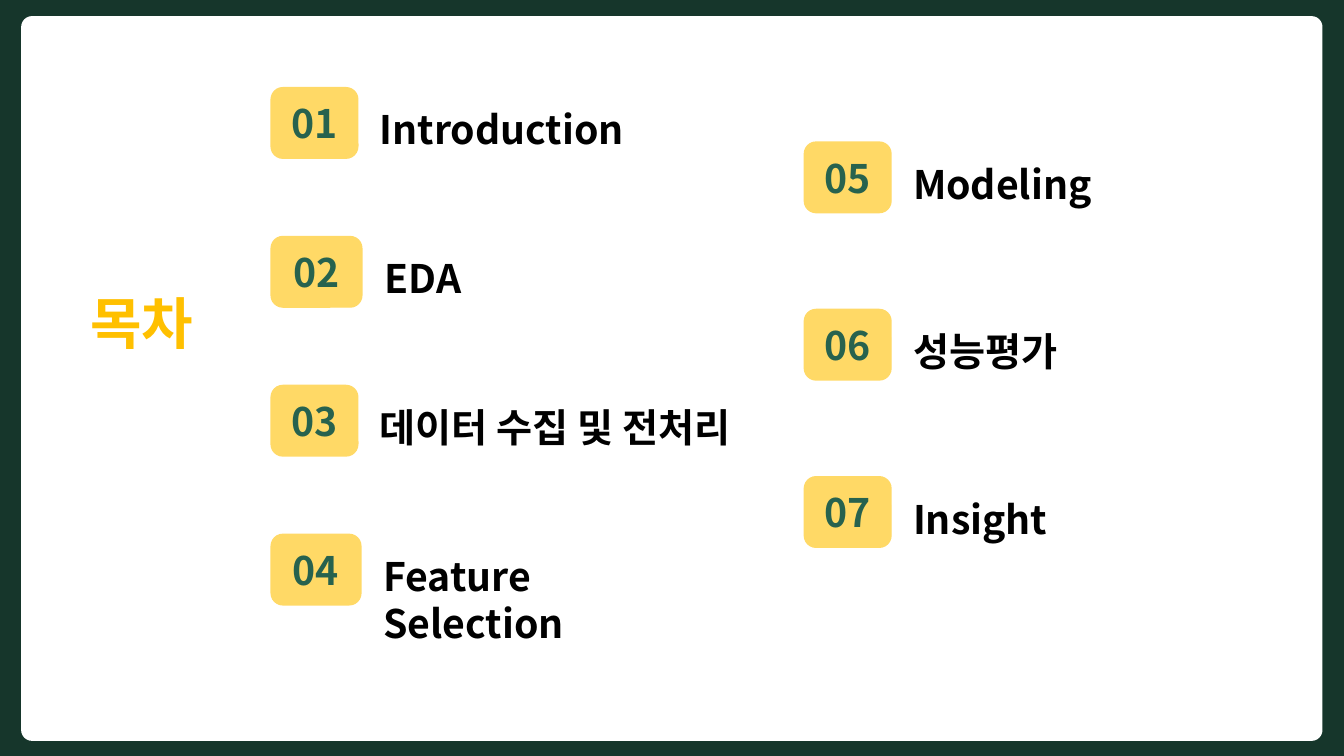
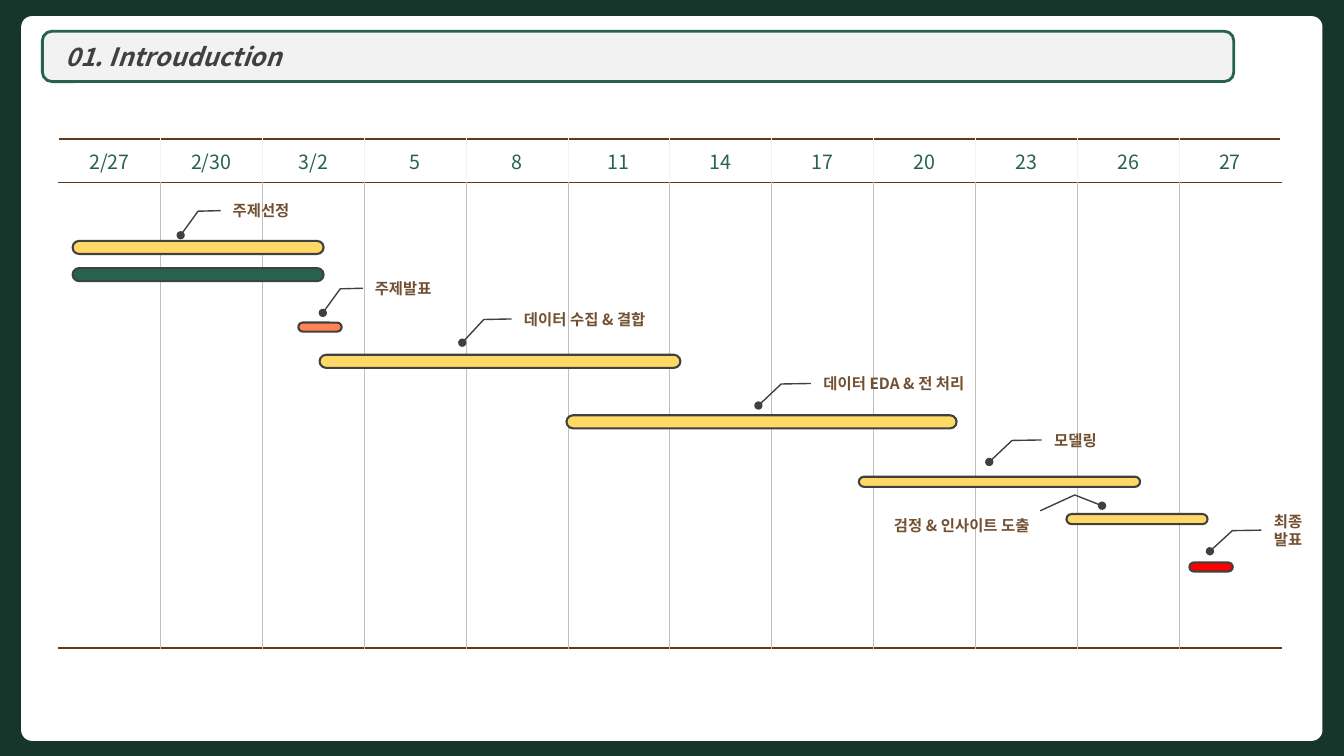
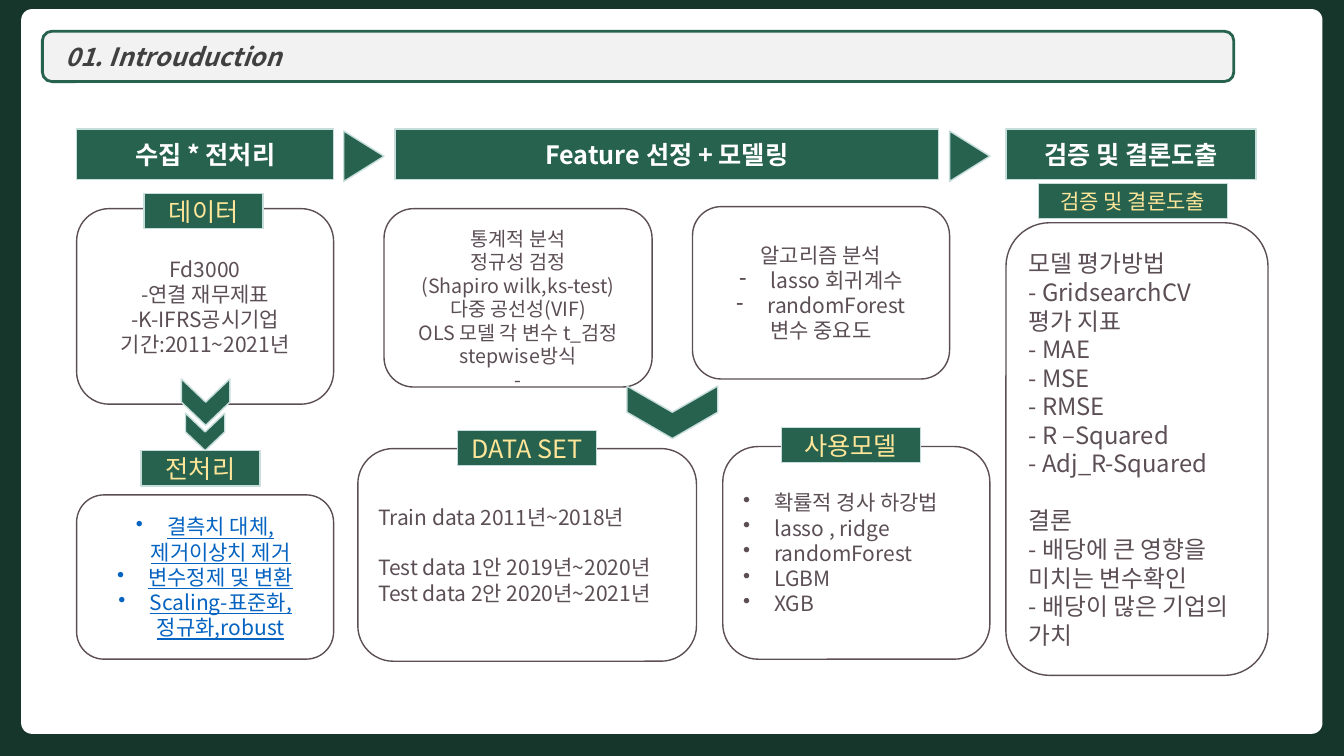
import itertools

import lxml.etree
import pptx
import pptx.dml.color
import pptx.enum.shapes
import pptx.enum.text
import pptx.oxml
import pptx.oxml.ns
import pptx.util

PRESET = pptx.enum.shapes.MSO_SHAPE
ALIGN = pptx.enum.text.PP_ALIGN
ANCHOR = pptx.enum.text.MSO_ANCHOR
FONT = "Noto Sans CJK KR"
FOREST, GREEN, MINT = "16362B", "27624E", "C6DDDC"
YELLOW, CREAM, WHITE = "FFD966", "FFE699", "FFFFFF"
CHARCOAL, BROWN, TAUPE = "404040", "725032", "5B4E55"
CELL = pptx.util.Inches(0.1)
COLUMNS, ROWS = 133.33, 75
qn = pptx.oxml.ns.qn


def paint(fill, colour):
    if colour is None:
        fill.background()
    else:
        fill.solid()
        fill.fore_color.rgb = pptx.dml.color.RGBColor.from_string(colour)


def put(slide, preset, box, lines=(), fill=None, line=None, weight=1, adjust=(), rotation=0,
        size=18, colour="000000", bold=False, italic=False, underline=False, align=ALIGN.CENTER,
        anchor=ANCHOR.MIDDLE, margins=(1, 0.5, 1, 0.5), marks=(), gap_before=None):
    place = [round(length * CELL) for length in box]
    if preset is None:
        shape = slide.shapes.add_textbox(*place)
    else:
        shape = slide.shapes.add_shape(preset, *place)
        shape.shadow.inherit = False
        shape.rotation = rotation
        for index, value in enumerate(adjust):
            shape.adjustments[index] = value
        paint(shape.fill, fill)
        paint(shape.line.fill, line)
        if line:
            shape.line.width = pptx.util.Pt(weight)
    frame = shape.text_frame
    layout = {"word_wrap": True, "vertical_anchor": anchor}
    for side, margin in zip(("left", "top", "right", "bottom"), margins):
        layout["margin_" + side] = round(margin * CELL)
    for name, value in layout.items():
        setattr(frame, name, value)
    letters = {"name": FONT, "size": pptx.util.Pt(size), "bold": bold,
               "italic": italic, "underline": underline}
    for index, (text, mark) in enumerate(itertools.zip_longest(lines, marks, fillvalue="")):
        paragraph = frame.add_paragraph() if index else frame.paragraphs[0]
        paragraph.alignment = align
        if index == gap_before:
            paragraph.space_before = pptx.util.Pt(size * 1.2)
        if mark:
            properties = paragraph._p.get_or_add_pPr()
            properties.set("marL", str(round(3.1 * CELL)))
            properties.set("indent", str(round(-3.1 * CELL)))
            lxml.etree.SubElement(properties, qn("a:buChar")).set("char", mark)
        run = paragraph.add_run()
        run.text = text
        for name, value in letters.items():
            setattr(run.font, name, value)
        paint(run.font.fill, colour)
        east_asian = lxml.etree.Element(qn("a:ea"))
        east_asian.set("typeface", FONT)
        run._r.rPr.find(qn("a:latin")).addnext(east_asian)
    return shape


deck = pptx.Presentation()
deck.slide_width = round(COLUMNS * CELL)
deck.slide_height = round(ROWS * CELL)
paint(deck.slide_master.background.fill, FOREST)

pages = []
for panel_top, heading in ((1.6, None), (1.6, "01. Introuduction"), (0.9, "01. Introuduction")):
    page = deck.slides.add_slide(deck.slide_layouts[6])
    put(page, PRESET.ROUNDED_RECTANGLE, (2.1, panel_top, 129.1, 71.9), fill=WHITE, adjust=[0.015])
    if heading:
        put(page, PRESET.ROUNDED_RECTANGLE, (4.2, 3.1, 118.2, 5), [heading], fill="F2F2F2",
            line=GREEN, weight=2, adjust=[0.19], colour=CHARCOAL, bold=True, italic=True,
            align=ALIGN.LEFT, margins=(2, 0, 0, 0))
    pages.append(page)
contents, schedule, process = pages

put(contents, None, (6, 28.1, 16.1, 7.7), ["목차"], size=40, colour="FFC000", bold=True,
    anchor=ANCHOR.TOP)
agenda = [
    (26.9, 8.7, 14.77, [("Introduction", 8.6, 33.7), ("EDA", 9, 41.5),
                        ("데이터 수집 및 전처리", 8.6, 40.3), ("Feature Selection", 8.9, 34.8)]),
    (79.8, 14.1, 16.6, [("Modeling", 8.6, 33.7), ("성능평가", 8.6, 33.7), ("Insight", 8.6, 33.7)]),
]
number = 0
for left, top, pitch, chapters in agenda:
    for row, (chapter, badge_width, chapter_width) in enumerate(chapters):
        number += 1
        y = top + row * pitch
        put(contents, PRESET.ROUNDED_RECTANGLE, (left, y, badge_width, 7), [f"{number:02}"],
            fill=YELLOW, line=YELLOW, size=28, colour=GREEN, bold=True)
        put(contents, None, (left + badge_width * 1.14, y + 1.3, chapter_width, 5.7), [chapter],
            size=28, bold=True, align=ALIGN.LEFT, anchor=ANCHOR.TOP)

dates = ["2/27", "2/30", "3/2", "5", "8", "11", "14", "17", "20", "23", "26", "27"]
calendar = schedule.shapes.add_table(
    2, len(dates), *[round(length * CELL) for length in (5.8, 13.8, 121.3, 50.5)]).table
calendar.first_row = calendar.horz_banding = False
for day in calendar.columns:
    day.width = round(121.3 / len(dates) * CELL)
for row, (height, divider) in enumerate(((4.3, "F2F2F2"), (46.2, "BFBFBF"))):
    calendar.rows[row].height = round(height * CELL)
    for column, date in enumerate(dates):
        cell = calendar.cell(row, column)
        cell.vertical_anchor = ANCHOR.MIDDLE
        paint(cell.fill, None)
        borders = [("L", divider, 0.5)] if column else []
        if column < len(dates) - 1:
            borders.append(("R", divider, 0.5))
        borders += [("T", "643916", 1.25), ("B", "643916", 1.25)]
        for index, (side, colour, weight) in enumerate(borders):
            cell._tc.get_or_add_tcPr().insert(index, pptx.oxml.parse_xml(
                f'<a:ln{side} xmlns:a="http://schemas.openxmlformats.org/drawingml/2006/main" '
                f'w="{pptx.util.Pt(weight)}"><a:solidFill><a:srgbClr val="{colour}"/>'
                f'</a:solidFill></a:ln{side}>'))
        if row == 0:
            paragraph = cell.text_frame.paragraphs[0]
            paragraph.alignment = ALIGN.CENTER
            run = paragraph.add_run()
            run.text = date
            for name, value in {"name": FONT, "size": pptx.util.Pt(14)}.items():
                setattr(run.font, name, value)
            paint(run.font.fill, GREEN)

for left, top, width, height, colour in (
        (7.2, 23.9, 24.9, 1.3, YELLOW), (7.2, 26.6, 24.9, 1.3, GREEN),
        (29.6, 32, 4.3, 0.9, "FF8356"), (31.7, 35.2, 35.8, 1.3, YELLOW),
        (56.2, 41.2, 38.7, 1.3, YELLOW), (85.2, 47.3, 27.9, 1, YELLOW),
        (105.8, 51, 14, 1, YELLOW), (118, 55.8, 4.3, 0.9, "FF0000")):
    put(schedule, PRESET.ROUNDED_RECTANGLE, (left, top, width, height), fill=colour,
        line=CHARCOAL, weight=1.5, adjust=[0.5])

down_left = (0.499, -0.014, 0.519, -0.171, 1.372, -0.292)
up_right = (-0.092, 0.538, -0.72, 0.657, -0.293, 0.751)
for box, task, leader in (
        ((22.1, 19.5, 14.3, 2.8), ["주제선정"], down_left),
        ((36.2, 27.2, 14.3, 2.8), ["주제발표"], down_left),
        ((51, 30.3, 17.6, 2.7), ["데이터 수집 & 결합"], down_left),
        ((80.7, 36.8, 18.7, 2.5), ["데이터 EDA & 전 처리"], down_left),
        ((103.6, 42.4, 18.7, 2.5), ["모델링"], down_left),
        ((87.7, 50.9, 28.8, 2.5), ["검정 & 인사이트 도출"], up_right),
        ((125.4, 51.4, 18.4, 2.4), ["최종", "발표"], down_left)):
    callout = put(schedule, PRESET.LINE_CALLOUT_2_NO_BORDER, box, task, line=CHARCOAL,
                  adjust=leader, size=11, colour=BROWN, bold=True, align=ALIGN.LEFT)
    outline = callout.line._get_or_add_ln()
    lxml.etree.SubElement(outline, qn("a:tailEnd")).set("type", "oval")

for left, width, stage in ((7.6, 25.5, "수집 * 전처리"), (39.2, 53.9, "Feature 선정 + 모델링"),
                           (99.8, 24.8, "검증 및 결론도출")):
    put(process, PRESET.RECTANGLE, (left, 12.8, width, 5), [stage], fill=GREEN, line=MINT,
        colour=WHITE, bold=True)

for box, lines, look in (
        ((7.6, 20.7, 25.5, 19.4),
         ["Fd3000", "-연결 재무제표", "-K-IFRS공시기업", "기간:2011~2021년"], {}),
        ((7.6, 49.1, 25.5, 16.3),
         ["결측치 대체, 제거이상치 제거", "변수정제 및 변환", "Scaling-표준화,정규화,robust"],
         {"marks": "•••", "colour": "0563C1", "underline": True}),
        ((38.1, 20.7, 26.6, 17.7),
         ["통계적 분석", "정규성 검정", "(Shapiro wilk,ks-test)", "다중 공선성(VIF)",
          "OLS 모델 각 변수 t_검정", "stepwise방식", "-"],
         {"size": 14, "anchor": ANCHOR.TOP, "margins": (1, 0.9, 1, 0)}),
        ((68.7, 20.5, 25.5, 17.1),
         ["알고리즘 분석", "lasso 회귀계수", "randomForest", "변수 중요도"],
         {"marks": ("", "-", "-")}),
        ((35.5, 44.5, 33.6, 21.1),
         ["Train data 2011년~2018년", "Test data 1안 2019년~2020년",
          "Test data 2안 2020년~2021년"],
         {"align": ALIGN.LEFT, "gap_before": 1, "margins": (1, 0.5, 2, 0.5)}),
        ((71.7, 44.3, 26.5, 21.1),
         ["확률적 경사 하강법", "lasso , ridge", "randomForest", "LGBM", "XGB"],
         {"align": ALIGN.LEFT, "marks": "•••••"}),
        ((99.8, 22.1, 26, 44.9),
         ["모델 평가방법", "- GridsearchCV", "평가 지표", "- MAE", "- MSE", "- RMSE",
          "- R –Squared", "- Adj_R-Squared", "결론", "- 배당에 큰 영향을 미치는 변수확인",
          "- 배당이 많은 기업의 가치"],
         {"align": ALIGN.LEFT, "size": 17, "gap_before": 8})):
    put(process, PRESET.ROUNDED_RECTANGLE, box, lines,
        **{"fill": WHITE, "line": TAUPE, "size": 15, "colour": TAUPE, **look})

for left, top, width, tag, size in (
        (14.3, 19.2, 11.8, "데이터", 18), (14, 44.7, 11.8, "전처리", 18),
        (45.4, 42.7, 13.8, "DATA SET", 18), (77.5, 42.4, 13.8, "사용모델", 18),
        (103, 18.2, 18.8, "검증 및 결론도출", 15)):
    put(process, PRESET.RECTANGLE, (left, top, width, 3.5), [tag], fill=GREEN, line=MINT,
        size=size, colour=CREAM)

for preset, box in (
        (PRESET.ISOSCELES_TRIANGLE, (33.6, 13.5, 5, 4)),
        (PRESET.ISOSCELES_TRIANGLE, (93.7, 13.5, 5, 4)),
        (PRESET.CHEVRON, (18.1, 37.5, 4.6, 4.8)),
        (PRESET.CHEVRON, (18.5, 40.9, 3.7, 3.9)),
        (PRESET.CHEVRON, (64.1, 36.4, 5.2, 9))):
    put(process, preset, box, fill=GREEN, line=MINT, rotation=90)

deck.save("out.pptx")
